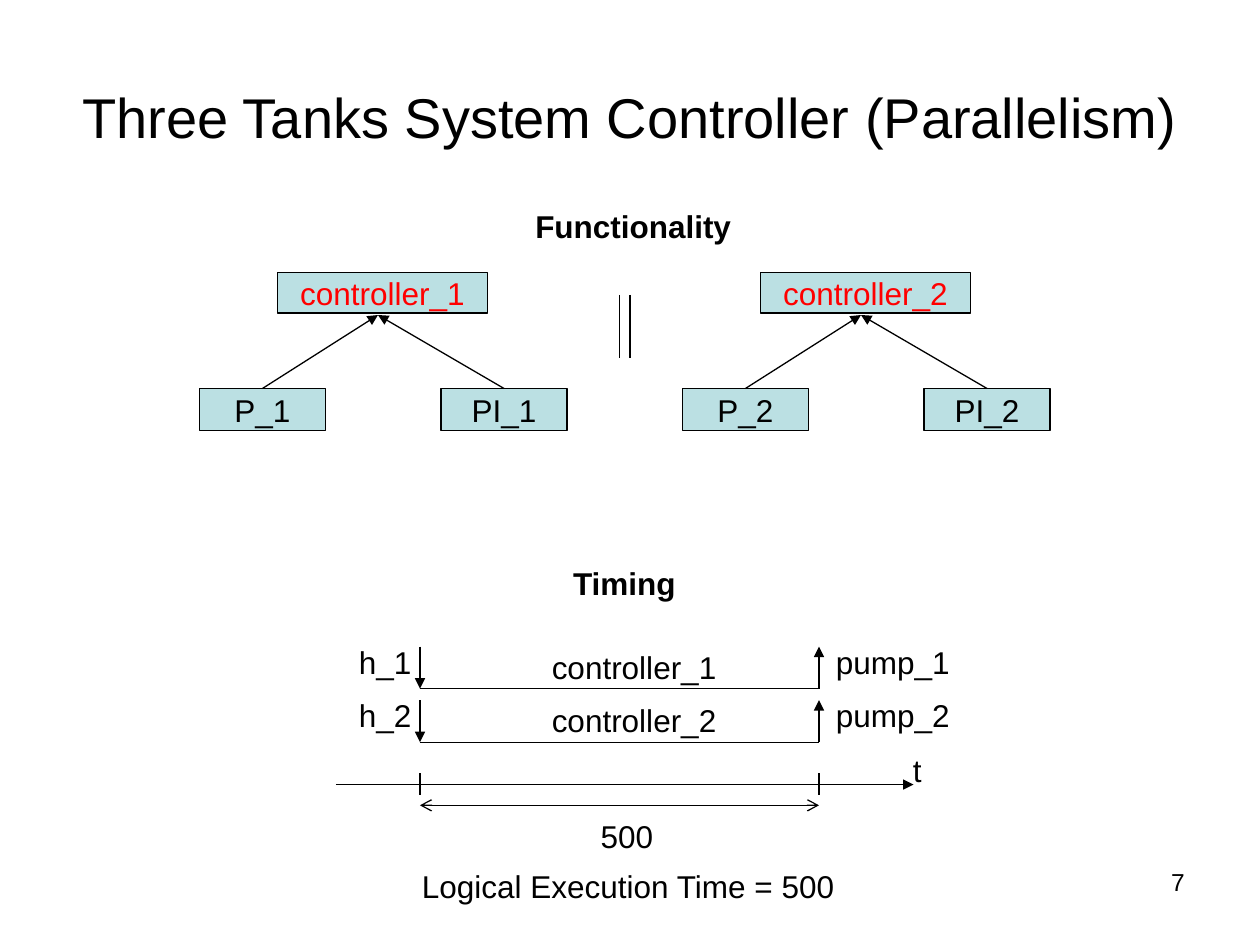
from dataclasses import dataclass

import pptx
import pptx.dml.color
import pptx.enum.shapes
import pptx.enum.text
import pptx.oxml
import pptx.oxml.ns
import pptx.util
from pptx.dml.color import RGBColor
from pptx.enum.text import MSO_ANCHOR, PP_ALIGN
from pptx.util import Pt

BLACK = RGBColor(0x00, 0x00, 0x00)
RED = RGBColor(0xFF, 0x00, 0x00)
PALE_TEAL = RGBColor(0xBB, 0xE0, 0xE3)
FONT = "Arial"

GROUP_STEP = 276
LANE_STEP = 30.6
PERIOD_START, PERIOD_END = 240, 468


@dataclass
class Label:
    text: str
    left: float
    top: float
    width: float
    height: float = 29
    size: float = 18
    bold: bool = False
    align: PP_ALIGN = PP_ALIGN.LEFT


@dataclass
class Box:
    text: str
    left: float
    top: float
    width: float
    height: float
    color: RGBColor = BLACK


@dataclass
class Line:
    x1: float
    y1: float
    x2: float
    y2: float
    head: str = ""
    tail: str = ""


def style_paragraph(paragraph, size: float, color: RGBColor, align: PP_ALIGN, bold: bool = False) -> None:
    paragraph.alignment = align
    paragraph.font.name = FONT
    paragraph.font.size = Pt(size)
    paragraph.font.bold = bold
    paragraph.font.color.rgb = color


def add_label(slide, label: Label) -> None:
    textbox = slide.shapes.add_textbox(Pt(label.left), Pt(label.top), Pt(label.width), Pt(label.height))
    frame = textbox.text_frame
    frame.word_wrap = True
    frame.text = label.text
    style_paragraph(frame.paragraphs[0], label.size, BLACK, label.align, label.bold)


def add_box(slide, box: Box):
    rectangle = slide.shapes.add_shape(
        pptx.enum.shapes.MSO_SHAPE.RECTANGLE, Pt(box.left), Pt(box.top), Pt(box.width), Pt(box.height)
    )
    rectangle.shadow.inherit = False
    rectangle.fill.solid()
    rectangle.fill.fore_color.rgb = PALE_TEAL
    rectangle.line.color.rgb = BLACK
    rectangle.line.width = Pt(0.75)
    frame = rectangle.text_frame
    frame.word_wrap = False
    frame.vertical_anchor = MSO_ANCHOR.MIDDLE
    frame.text = box.text
    style_paragraph(frame.paragraphs[0], 18, box.color, PP_ALIGN.CENTER)
    return rectangle


def add_line(slide, line: Line):
    connector = slide.shapes.add_connector(
        pptx.enum.shapes.MSO_CONNECTOR.STRAIGHT, Pt(line.x1), Pt(line.y1), Pt(line.x2), Pt(line.y2)
    )
    connector.line.color.rgb = BLACK
    connector.line.width = Pt(0.75)
    outline = connector.line._get_or_add_ln()
    for tag, arrow in (("a:headEnd", line.head), ("a:tailEnd", line.tail)):
        if arrow:
            end = pptx.oxml.parse_xml(f"<{tag} {pptx.oxml.ns.nsdecls('a')}/>")
            end.set("type", arrow)
            outline.append(end)
    effects = pptx.oxml.parse_xml(f"<a:effectLst {pptx.oxml.ns.nsdecls('a')}/>")
    connector._element.spPr.append(effects)
    return connector


def add_controller_tree(slide, number: int) -> None:
    shift = (number - 1) * GROUP_STEP
    add_box(slide, Box(f"controller_{number}", 158.5 + shift, 155.9, 120, 23, RED))
    for name, left in (("P", 114), ("PI", 252)):
        task = add_box(slide, Box(f"{name}_{number}", left + shift, 222, 72, 24))
        link = add_line(slide, Line(left + 36 + shift, 222, 216 + shift, 180, tail="triangle"))
        link.begin_connect(task, 0)


def add_timing_lane(slide, number: int) -> None:
    top = 369.5 + (number - 1) * LANE_STEP
    base = top + 24
    add_line(slide, Line(PERIOD_START, top, PERIOD_START, base, tail="triangle"))
    add_line(slide, Line(PERIOD_START, base, PERIOD_END, base))
    add_line(slide, Line(PERIOD_END, base, PERIOD_END, top, tail="triangle"))
    add_label(slide, Label(f"h_{number}", 198, top - 5.8, 47))
    add_label(slide, Label(f"controller_{number}", 308.2, top - 2.8, 112))
    add_label(slide, Label(f"pump_{number}", 470.6, top - 5.8, 83))


def main() -> None:
    presentation = pptx.Presentation()
    presentation.slide_width, presentation.slide_height = Pt(720), Pt(540)
    slide = presentation.slides.add_slide(presentation.slide_layouts[5])

    title = slide.shapes.title
    title.left, title.top, title.width, title.height = Pt(36), Pt(21.6), Pt(648), Pt(90)
    title.text_frame.text = "Three Tanks System Controller (Parallelism)"
    title.text_frame.vertical_anchor = MSO_ANCHOR.MIDDLE
    style_paragraph(title.text_frame.paragraphs[0], 32, BLACK, PP_ALIGN.CENTER)

    for number in (1, 2):
        add_controller_tree(slide, number)
        add_timing_lane(slide, number)

    for parallel_x in (354, 360):
        add_line(slide, Line(parallel_x, 168.5, parallel_x, 204.5))
    for tick_x in (PERIOD_START, PERIOD_END):
        add_line(slide, Line(tick_x, 442, tick_x, 454.5))
    add_line(slide, Line(192, 448.3, 522, 448.3, tail="triangle"))
    add_line(slide, Line(PERIOD_START, 460.2, PERIOD_END, 460.2, head="arrow", tail="arrow"))

    labels = [
        Label("Functionality", 298.8, 114.5, 130, bold=True),
        Label("Timing", 320.4, 318.6, 77, bold=True),
        Label("t", 514.6, 425.5, 22),
        Label("500", 336.2, 463.3, 47),
        Label("Logical Execution Time = 500", 234, 491.8, 254),
        Label("7", 516, 491.8, 168, 37.5, size=14, align=PP_ALIGN.RIGHT),
    ]
    for label in labels:
        add_label(slide, label)

    presentation.save("out.pptx")


if __name__ == "__main__":
    main()
